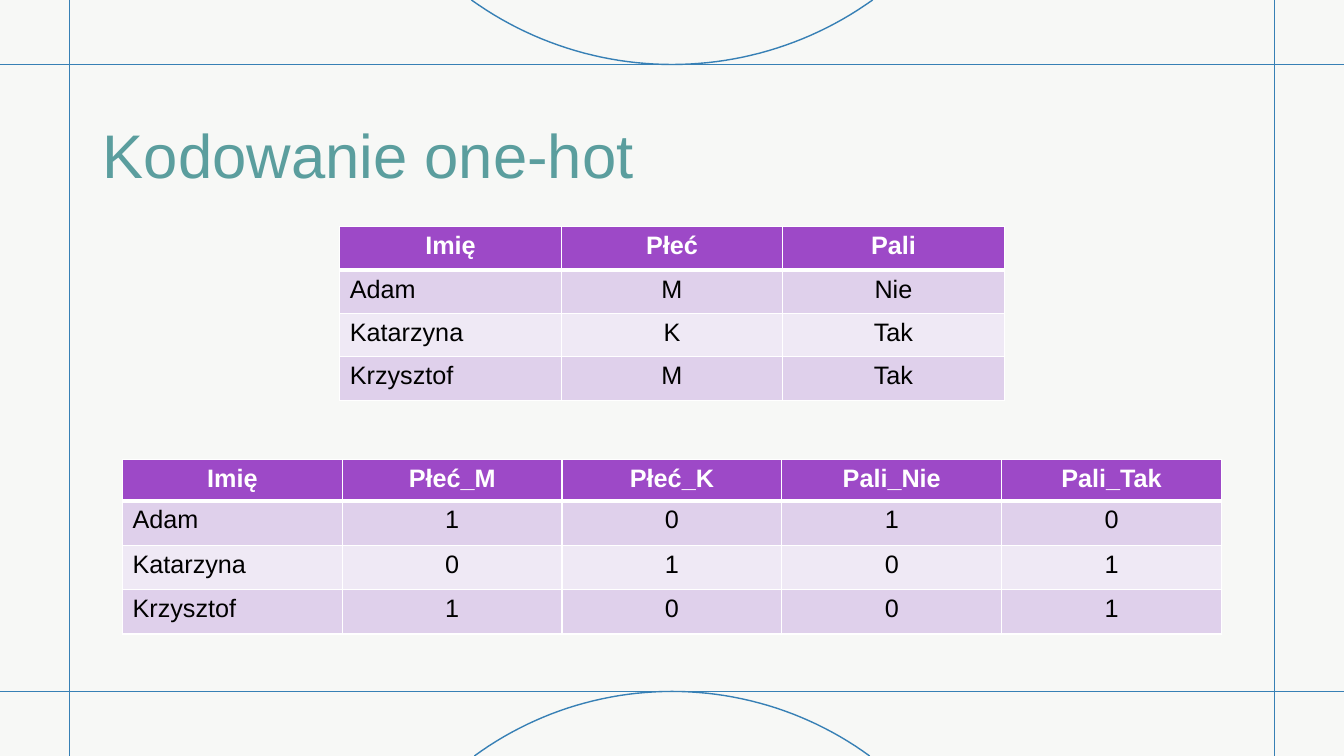
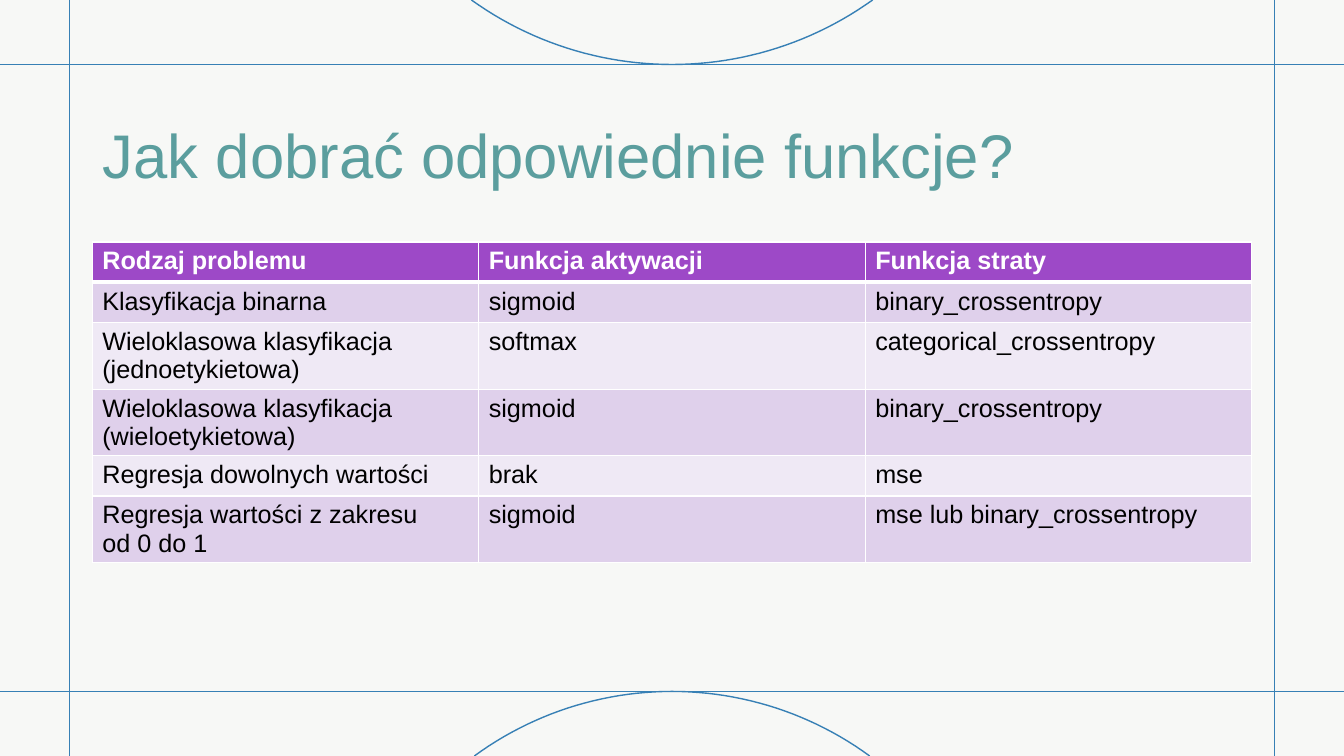
from math import asin, cos, hypot, sin

from lxml.etree import SubElement as Sub
from pptx import Presentation
from pptx.dml.color import RGBColor as RGB
from pptx.enum.shapes import MSO_CONNECTOR as Link
from pptx.enum.text import MSO_ANCHOR as Anchor, PP_ALIGN as Align
from pptx.oxml.ns import qn
from pptx.util import Inches as In, Pt

# Content: each table has a top, width, row heights and a flag for centring
HOT = "Kodowanie one-hot"
PICK = "Jak dobrać odpowiednie funkcje?"
DECK = [
    (HOT, [
        dict(top=2.25, width=6.59, rows=[0.43] * 4, mid=True, data=[
            ("Imię", "Płeć", "Pali"),
            ("Adam", "M", "Nie"),
            ("Katarzyna", "K", "Tak"),
            ("Krzysztof", "M", "Tak")]),
        dict(top=4.56, width=10.9, rows=[0.41] + [0.44] * 3, mid=True, data=[
            ("Imię", "Płeć_M", "Płeć_K", "Pali_Nie", "Pali_Tak"),
            ("Adam", "1", "0", "1", "0"),
            ("Katarzyna", "0", "1", "0", "1"),
            ("Krzysztof", "1", "0", "0", "1")]),
    ]),
    (PICK, [
        dict(top=2.4, width=11.5, mid=False,
             rows=[0.4, 0.4, 0.66, 0.66, 0.4, 0.66], data=[
            ("Rodzaj problemu", "Funkcja aktywacji", "Funkcja straty"),
            ("Klasyfikacja binarna", "sigmoid", "binary_crossentropy"),
            ("Wieloklasowa klasyfikacja (jednoetykietowa)", "softmax",
             "categorical_crossentropy"),
            ("Wieloklasowa klasyfikacja (wieloetykietowa)", "sigmoid",
             "binary_crossentropy"),
            ("Regresja dowolnych wartości", "brak", "mse"),
            ("Regresja wartości z zakresu\vod 0 do 1", "sigmoid",
             "mse lub binary_crossentropy")]),
    ]),
]

# Shared look
HEX = dict(back="F7F8F6", line="3780B5", title="5B9E9E", head="9D49C7",
           odd="DFD0EB", even="EFE9F5", white="FFFFFF", black="000000")
WIDE, HIGH = 13.33, 7.5
EDGE_X, EDGE_Y = 0.69, 0.64
TITLE = dict(left=0.92, top=0.8, width=11.5, height=1.45)
FONT = {
    "title": dict(name="Arial", size=Pt(44), bold=False),
    "head": dict(name="Arial", size=Pt(18), bold=True),
    "body": dict(name="Arial", size=Pt(18), bold=False),
}


def tint(key):
    return RGB.from_string(HEX[key])


def style(para, kind, color, align):
    para.alignment = align
    for key, val in FONT[kind].items():
        setattr(para.font, key, val)
    para.font.color.rgb = tint(color)


def ink(line):
    line.color.rgb = tint("line")
    line.width = Pt(1)


def rule(shapes, x1, y1, x2, y2):
    link = shapes.add_connector(Link.STRAIGHT, In(x1), In(y1), In(x2), In(y2))
    ink(link.line)
    Sub(link.element.spPr, qn("a:effectLst"))
    return link


def arc(shapes, half, tip, way, steps=48):
    """Open circle segment: tip is its peak, way (-1 up, 1 down) its side."""
    rad = hypot(half, EDGE_Y) ** 2 / (2 * EDGE_Y)
    turn = asin(half / rad)
    dots = []
    for i in range(steps + 1):
        ang = turn * (2 * i / steps - 1)
        dots.append((In(WIDE / 2 + rad * sin(ang)),
                     In(tip + way * rad * (1 - cos(ang)))))
    pen = shapes.build_freeform(*dots[0])
    pen.add_line_segments(dots[1:], close=False)
    curve = pen.convert_to_shape()
    curve.fill.background()
    ink(curve.line)
    curve.shadow.inherit = False
    return curve


def frame(shapes):
    low, right = HIGH - EDGE_Y, WIDE - EDGE_X
    parts = [rule(shapes, 0, y, WIDE, y) for y in (low, EDGE_Y)]
    parts += [rule(shapes, x, HIGH, x, 0) for x in (right, EDGE_X)]
    parts += [arc(shapes, 1.99, EDGE_Y, -1), arc(shapes, 1.96, low, 1)]
    return parts


def border(cell, row):
    wide = {"L": 1, "R": 1, "T": 3 if row == 1 else 1, "B": 1 if row else 3}
    props = cell._tc.get_or_add_tcPr()
    for side, pts in wide.items():
        line = Sub(props, qn("a:ln" + side), w=str(Pt(pts)))
        Sub(Sub(line, qn("a:solidFill")), qn("a:srgbClr"), val=HEX["white"])


def grid(shapes, top, width, rows, mid, data):
    count = len(data[0])
    table = shapes.add_table(len(data), count, In((WIDE - width) / 2), In(top),
                             In(width), In(sum(rows))).table
    for col in table.columns:
        col.width = In(width / count)
    for r, (high, words) in enumerate(zip(rows, data)):
        table.rows[r].height = In(high)
        kind, color = ("body", "black") if r else ("head", "white")
        fill = ("even" if r % 2 == 0 else "odd") if r else "head"
        for c, word in enumerate(words):
            cell = table.cell(r, c)
            cell.text = word
            center = mid and (r == 0 or c > 0)
            style(cell.text_frame.paragraphs[0], kind, color,
                  Align.CENTER if center else Align.LEFT)
            border(cell, r)
            cell.fill.solid()
            cell.fill.fore_color.rgb = tint(fill)


def setup(prs):
    """Background and title place; returns the layout for every slide."""
    prs.slide_width, prs.slide_height = In(WIDE), In(HIGH)
    back = prs.slide_master.background.fill
    back.solid()
    back.fore_color.rgb = tint("back")
    base = prs.slide_layouts[5]
    for hold in list(base.placeholders):
        if hold.placeholder_format.idx:
            base.shapes.element.remove(hold.element)
        else:
            for key, val in TITLE.items():
                setattr(hold, key, In(val))
    return base


def main():
    prs = Presentation()
    base = setup(prs)
    for n, (name, tables) in enumerate(DECK):
        slide = prs.slides.add_slide(base)
        # The frame is drawn once, then moved to the shared layout
        if n == 0:
            for part in frame(slide.shapes):
                base.shapes.element.append(part.element)
        title = slide.shapes.title
        title.text_frame.text = name
        title.text_frame.vertical_anchor = Anchor.MIDDLE
        style(title.text_frame.paragraphs[0], "title", "title", Align.LEFT)
        for item in tables:
            grid(slide.shapes, **item)
    prs.save("out.pptx")


if __name__ == "__main__":
    main()
